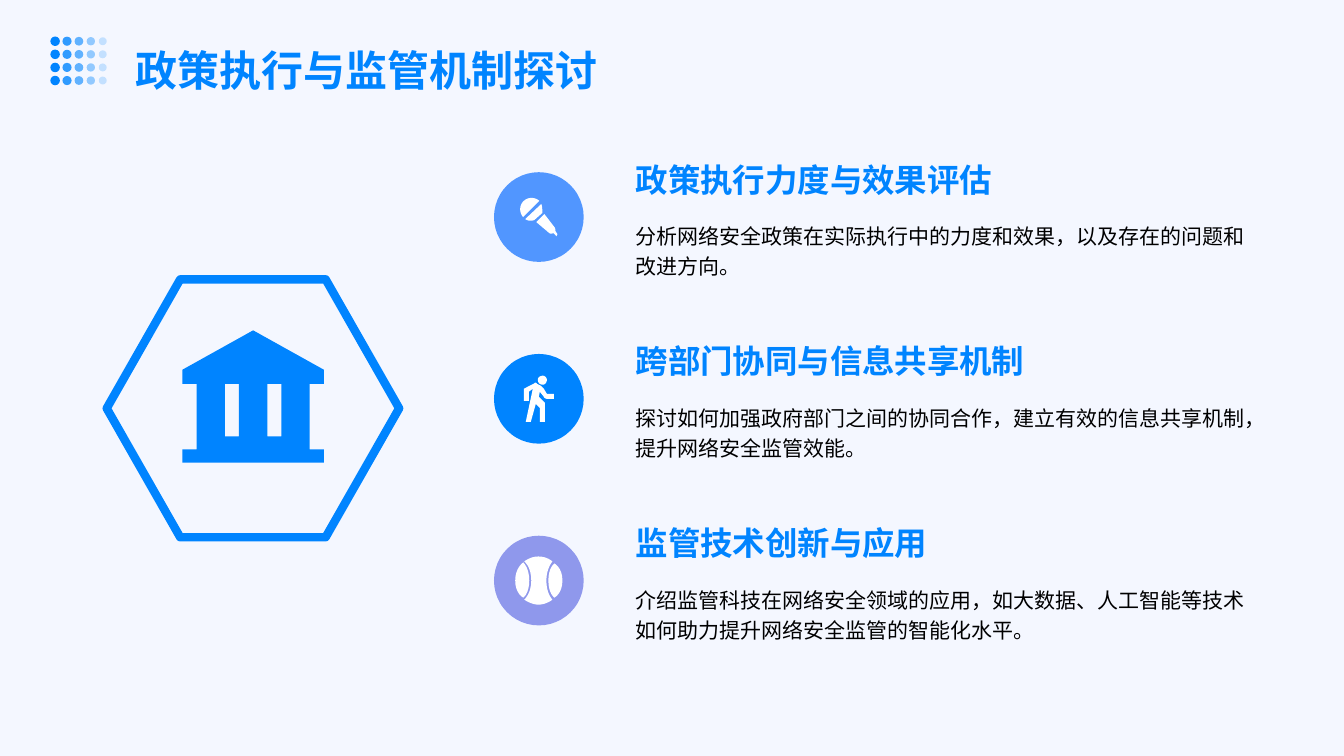
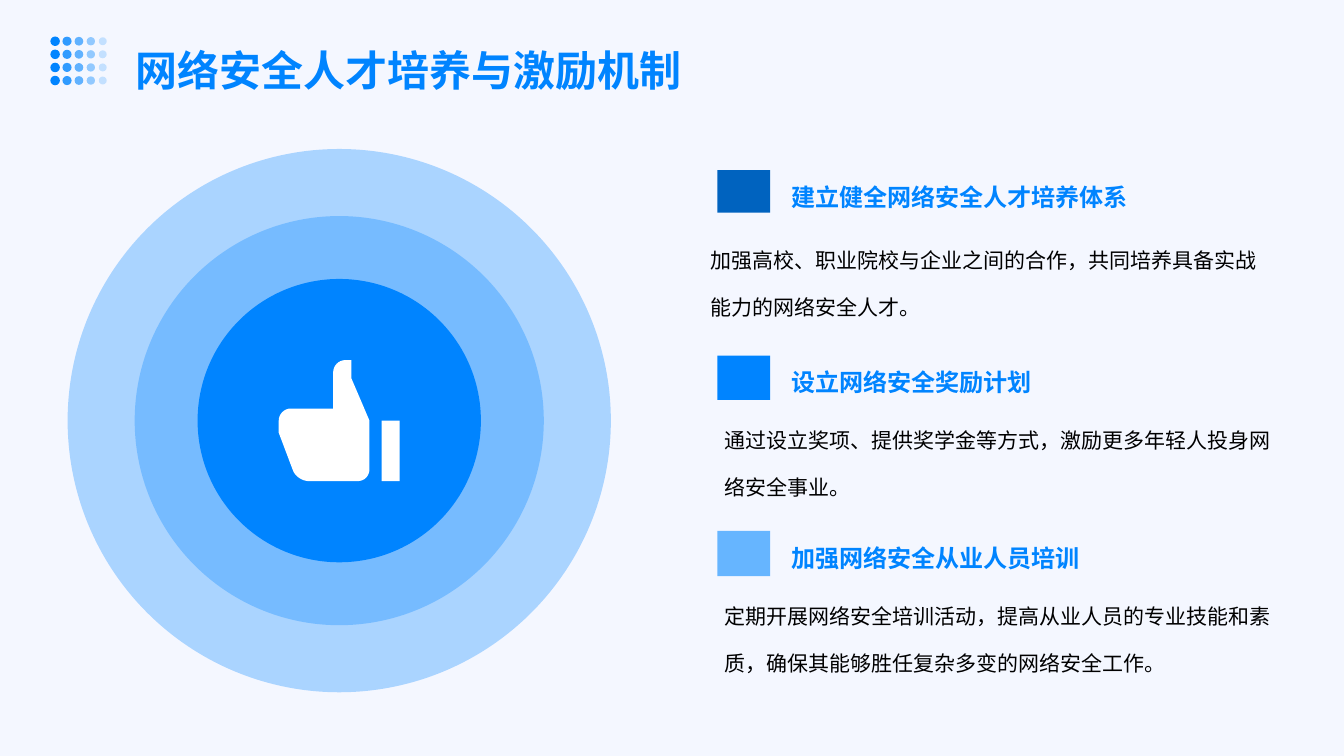
from lxml import etree
from pptx import Presentation
from pptx.dml.color import RGBColor
from pptx.enum.shapes import MSO_SHAPE
from pptx.enum.text import MSO_ANCHOR, MSO_AUTO_SIZE, PP_ALIGN
from pptx.oxml.ns import qn
from pptx.util import Cm, Pt

ELLIPSE, RECTANGLE, HEXAGON = MSO_SHAPE.OVAL, MSO_SHAPE.RECTANGLE, MSO_SHAPE.HEXAGON
TOP, MIDDLE = MSO_ANCHOR.TOP, MSO_ANCHOR.MIDDLE
LEFT = PP_ALIGN.LEFT
NO_AUTOSIZE = MSO_AUTO_SIZE.NONE

FONT = "Noto Sans CJK SC"
BLUE, BLACK, WHITE, PALE = "0084FF", "000000", "FFFFFF", "F4F7FF"
TITLE_ONLY = 5
CURVE_STEPS = 8

# Icon outlines on a grid starting at 0: pairs are corners, sixes are Bézier curves.
BANK = [
    [(0, 39), (70, 0), (140, 39), (140, 53), (126, 53), (126, 118), (140, 118),
     (140, 131), (0, 131), (0, 118), (14, 118), (14, 53), (0, 53)],
    [(42, 53), (56, 53), (56, 105), (42, 105)],
    [(84, 53), (98, 53), (98, 105), (84, 105)],
]
MICROPHONE = [
    [(22, 15), (22, 12, 22, 9, 21, 6), (5, 21), (8, 23, 11, 23, 14, 22)],
    [(19, 3), (17, 1, 14, 0, 11, 0), (5, 0, 0, 5, 0, 11), (0, 14, 1, 17, 3, 19)],
    [(35, 33), (35, 33, 35, 30, 34, 29), (24, 16), (16, 24), (29, 35),
     (30, 36, 33, 35, 33, 35), (36, 38), (37, 36)],
]
WALKER = [
    [(16, 16), (20, 21), (20, 22, 22, 23, 23, 23), (30, 23), (30, 18), (23, 18),
     (20, 13), (19, 12, 18, 11, 17, 10), (13, 8), (13, 7, 12, 7, 11, 7), (10, 8),
     (0, 13), (0, 25), (5, 25), (5, 16), (9, 13), (2, 46), (7, 46), (12, 28),
     (16, 32), (16, 46), (21, 46), (21, 27), (15, 21)],
    [(19, 9), (21, 9, 23, 7, 23, 4), (23, 2, 21, 0, 19, 0),
     (16, 0, 14, 2, 14, 4), (14, 7, 16, 9, 19, 9)],
]
BALL = [
    [(31, 24), (31, 12, 37, 5, 37, 5), (37, 5, 32, 0, 23, 0), (15, 0, 9, 5, 9, 5),
     (9, 5, 16, 10, 16, 24), (16, 37, 9, 43, 9, 43), (9, 43, 16, 48, 23, 48),
     (31, 48, 37, 43, 37, 43), (37, 43, 31, 37, 31, 24)],
    [(8, 6), (8, 6, 0, 11, 0, 24), (0, 37, 8, 41, 8, 41),
     (8, 41, 14, 37, 14, 24), (14, 11, 8, 6, 8, 6)],
    [(39, 7), (39, 7, 33, 11, 33, 24), (33, 37, 39, 41, 39, 41),
     (39, 41, 47, 37, 47, 24), (47, 11, 39, 7, 39, 7)],
]
THUMB = [
    [(66, 0), (72, 0), (72, 18), (90, 60), (90, 108), (90, 115, 85, 120, 78, 120),
     (30, 120), (23, 120, 16, 115, 14, 109), (0, 72), (0, 60), (0, 54, 5, 48, 12, 48),
     (54, 48), (54, 12), (54, 6, 59, 0, 66, 0)],
    [(102, 60), (120, 60), (120, 120), (102, 120)],
]

# Heading, description, disc colour, icon, icon width
MEASURES = [
    ("政策执行力度与效果评估",
     "分析网络安全政策在实际执行中的力度和效果，以及存在的问题和改进方向。",
     "5196FF", MICROPHONE, 0.94),
    ("跨部门协同与信息共享机制",
     "探讨如何加强政府部门之间的协同合作，建立有效的信息共享机制，提升网络安全监管效能。",
     BLUE, WALKER, 0.76),
    ("监管技术创新与应用",
     "介绍监管科技在网络安全领域的应用，如大数据、人工智能等技术如何助力提升网络安全监管的智能化水平。",
     "8F98EC", BALL, 1.19),
]
# Heading, description, swatch colour, swatch height, row top, description left and top
PROGRAMMES = [
    ("建立健全网络安全人才培养体系",
     "加强高校、职业院校与企业之间的合作，共同培养具备实战能力的网络安全人才。",
     "0063BF", 1.07, 4.09, 17.73, 5.59),
    ("设立网络安全奖励计划",
     "通过设立奖项、提供奖学金等方式，激励更多年轻人投身网络安全事业。",
     BLUE, 1.12, 8.76, 18.08, 10.13),
    ("加强网络安全从业人员培训",
     "定期开展网络安全培训活动，提高从业人员的专业技能和素质，确保其能够胜任复杂多变的网络安全工作。",
     "66B5FF", 1.14, 13.18, 18.08, 14.55),
]


def paint(fill, colour, opacity=100):
    fill.solid()
    fill.fore_color.rgb = RGBColor.from_string(colour)
    if opacity < 100:
        tint = fill._xPr.find(qn("a:solidFill"))[0]
        etree.SubElement(tint, qn("a:alpha"), val=str(opacity * 1000))


def write(box, text, size, colour=BLACK, bold=False, spacing=1.0, anchor=TOP,
          insets=(0.3, 0.15, 0.3, 0.15)):
    """Put one formatted paragraph into a box; insets run left, top, right, bottom."""
    frame = box.text_frame
    frame.word_wrap = True
    frame.auto_size = NO_AUTOSIZE
    frame.vertical_anchor = anchor
    (frame.margin_left, frame.margin_top,
     frame.margin_right, frame.margin_bottom) = map(Cm, insets)
    para = frame.paragraphs[0]
    para.alignment = LEFT
    para.line_spacing = spacing
    span = para.add_run()
    span.text = text
    span.font.size = Pt(size)
    span.font.bold = bold
    span.font.name = FONT
    paint(span.font.fill, colour)
    etree.SubElement(span._r.get_or_add_rPr(), qn("a:ea"), typeface=FONT)


def add_text(page, text, left, top, width, height, **style):
    box = page.shapes.add_textbox(Cm(left), Cm(top), Cm(width), Cm(height))
    write(box, text, **style)


def add_shape(page, kind, left, top, width, height, colour, opacity=100):
    shape = page.shapes.add_shape(kind, Cm(left), Cm(top), Cm(width), Cm(height))
    shape.shadow.inherit = False
    shape.line.fill.background()
    paint(shape.fill, colour, opacity)
    return shape


def add_disc(page, centre_x, centre_y, size, colour, opacity=100):
    add_shape(page, ELLIPSE, centre_x - size / 2, centre_y - size / 2,
              size, size, colour, opacity)


def flatten(contour):
    """Turn the curves of a contour into short straight steps."""
    points = []
    for node in contour:
        if len(node) == 2:
            points.append(node)
            continue
        controls = [points[-1], node[:2], node[2:4], node[4:]]
        for step in range(1, CURVE_STEPS + 1):
            t = step / CURVE_STEPS
            weights = ((1 - t) ** 3, 3 * t * (1 - t) ** 2, 3 * t * t * (1 - t), t ** 3)
            points.append(tuple(sum(w * p[axis] for w, p in zip(weights, controls))
                                for axis in (0, 1)))
    return points


def add_icon(page, contours, centre_x, centre_y, width, colour):
    outlines = [flatten(contour) for contour in contours]
    grid_width = max(x for outline in outlines for x, _ in outline)
    grid_height = max(y for outline in outlines for _, y in outline)
    unit = width / grid_width

    def place(point):
        return (Cm(centre_x + (point[0] - grid_width / 2) * unit),
                Cm(centre_y + (point[1] - grid_height / 2) * unit))

    builder = None
    for outline in outlines:
        start, *rest = map(place, outline)
        if builder is None:
            builder = page.shapes.build_freeform(*start, scale=1.0)
        else:
            builder.move_to(*start)
        builder.add_line_segments(rest, close=True)
    icon = builder.convert_to_shape()
    icon.shadow.inherit = False
    icon.line.fill.background()
    paint(icon.fill, colour)


def add_hexagon(page, left, top, width, height):
    hexagon = add_shape(page, HEXAGON, left, top, width, height, PALE)
    hexagon.adjustments[0] = 0.285
    paint(hexagon.line.fill, BLUE)
    hexagon.line.width = Pt(6)
    etree.SubElement(hexagon.line._get_or_add_ln(), qn("a:round"))


def add_page(deck, title):
    """Add a page with the dot grid and the title."""
    page = deck.slides.add_slide(deck.slide_layouts[TITLE_ONLY])
    for row in range(4):
        for column in range(5):
            add_disc(page, 1.39 + 0.3 * column, 1.04 + 0.33 * row,
                     0.24 - 0.01 * column, BLUE, 100 - 20 * column)
    box = page.shapes.title
    box.left, box.top, box.width, box.height = map(Cm, (3.05, 0.25, 27.79, 2.54))
    write(box, title, size=30, colour=BLUE, bold=True, spacing=1.4,
          insets=(0.36, 0.36, 0.15, 0.36))
    return page


def build_policy_page(deck):
    page = add_page(deck, "政策执行与监管机制探讨")
    add_hexagon(page, 2.69, 7.04, 7.37, 6.5)
    add_icon(page, BANK, 6.38, 9.99, 3.56, BLUE)
    for row, (heading, description, colour, icon, icon_width) in enumerate(MEASURES):
        top = 4.09 + 4.58 * row
        add_disc(page, 13.58, top + 1.38, 2.26, colour)
        add_icon(page, icon, 13.58, top + 1.38, icon_width, WHITE)
        add_text(page, heading, 15.72, top, 12.55, 1.12,
                 size=23.2, colour=BLUE, bold=True, spacing=0.77)
        add_text(page, description, 15.72, top + 1.27, 16.05, 1.96,
                 size=15, spacing=1.2)


def build_talent_page(deck):
    page = add_page(deck, "网络安全人才培养与激励机制")
    for size, opacity in ((13.69, 30), (10.31, 30), (7.14, 100)):
        add_disc(page, 8.55, 10.6, size, BLUE, opacity)
    add_icon(page, THUMB, 8.55, 10.6, 3.05, WHITE)
    insets = (0.18, 0.1, 0.18, 0.1)
    for heading, description, colour, height, top, text_left, text_top in PROGRAMMES:
        add_shape(page, RECTANGLE, 18.08, top + 0.2, 1.33, height, colour)
        add_text(page, heading, 19.76, top, 12.45, 1.37, size=17.2, colour=BLUE,
                 bold=True, spacing=1.5, anchor=MIDDLE, insets=insets)
        add_text(page, description, text_left, text_top, 14.12, 2.97,
                 size=15, spacing=1.87, insets=insets)


def main():
    deck = Presentation()
    deck.slide_width, deck.slide_height = Cm(33.87), Cm(19.05)
    paint(deck.slide_master.background.fill, PALE)
    build_policy_page(deck)
    build_talent_page(deck)
    deck.save("out.pptx")


if __name__ == "__main__":
    main()
